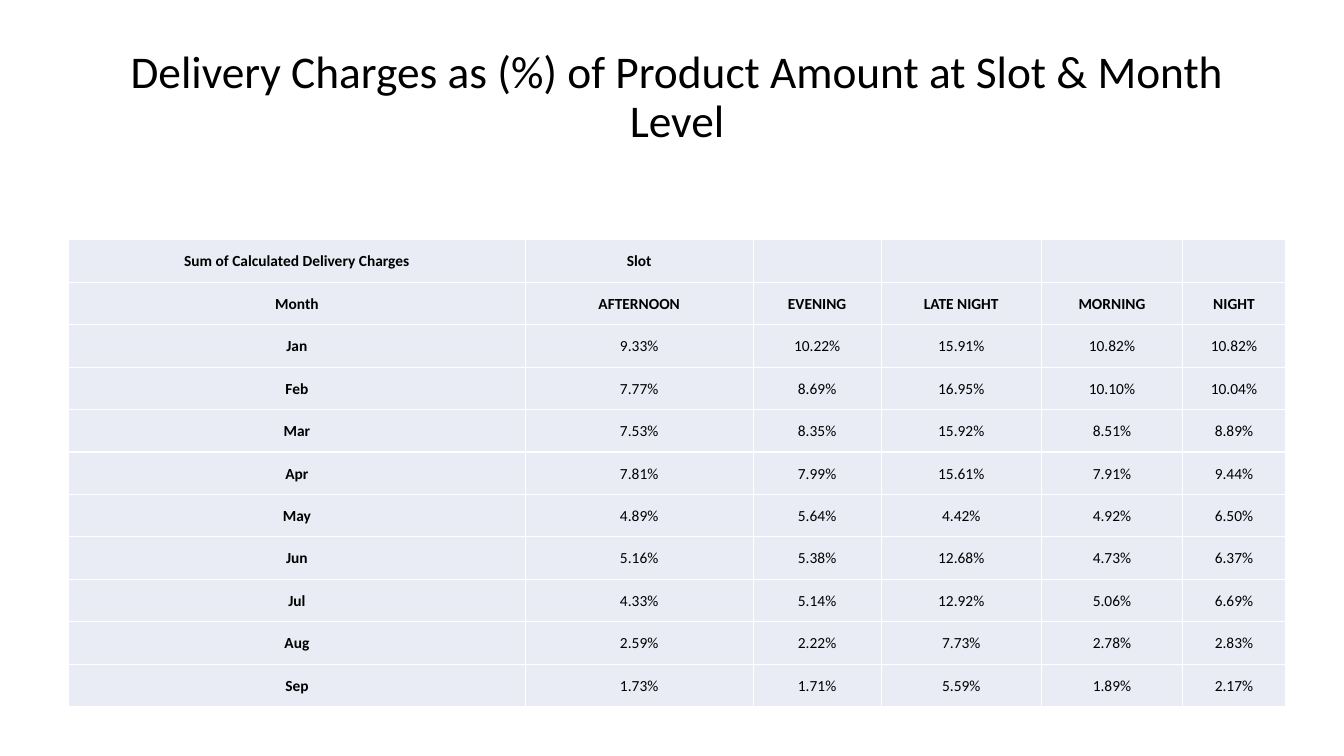
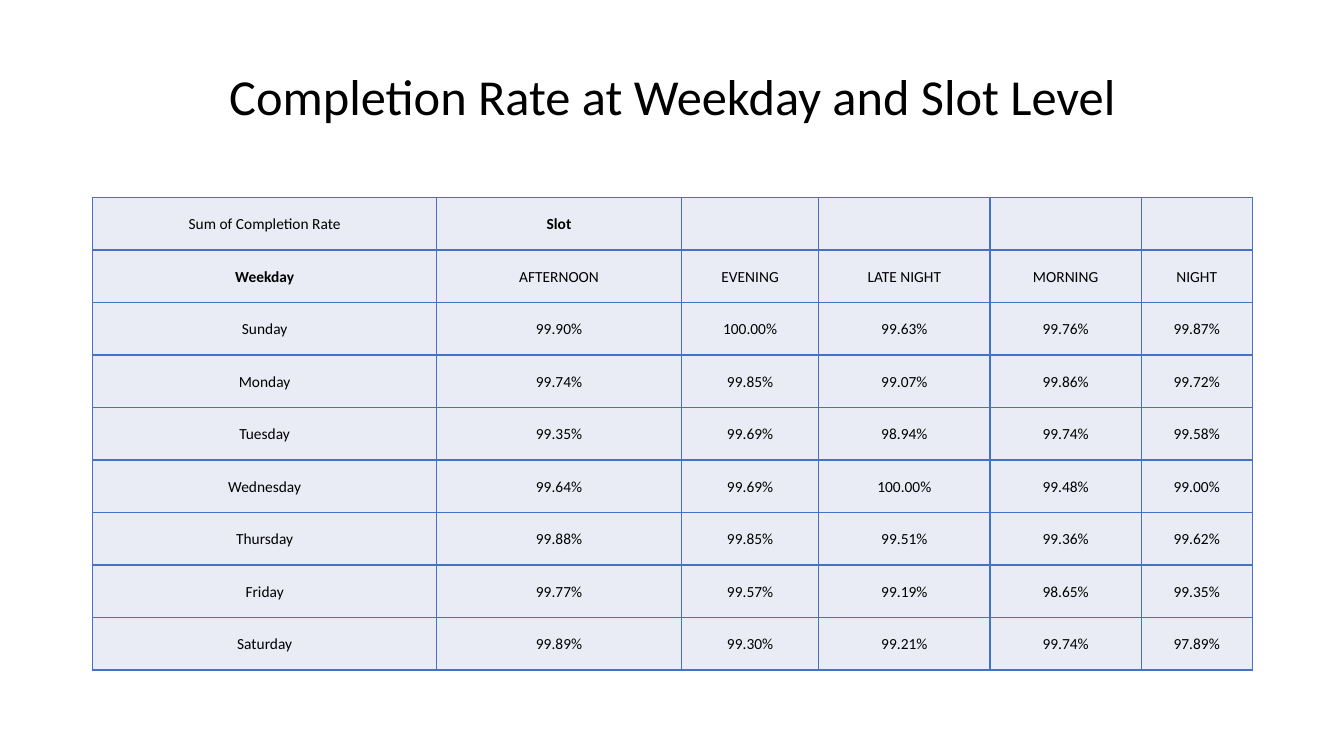
"""Build two slides of delivery figures by time slot."""
from dataclasses import dataclass

from lxml.etree import SubElement
from pptx import Presentation
from pptx.dml.color import RGBColor
from pptx.enum.text import MSO_ANCHOR, MSO_AUTO_SIZE, PP_ALIGN
from pptx.oxml.ns import qn
from pptx.util import Emu, Pt


@dataclass(frozen=True)
class Theme:
    font: str = "Calibri"
    ink: str = "000000"
    paper: str = "FFFFFF"
    cell: str = "E9EBF5"
    accent: str = "4472C4"
    long_title: float = 32.4
    title: float = 36
    body: float = 11
    border: float = 1


THEME = Theme()
SLOTS = ["AFTERNOON", "EVENING", "LATE NIGHT", "MORNING", "NIGHT"]
CHARGES = [
    ["Sum of Calculated Delivery Charges", "Slot"],
    ["Month", *SLOTS],
    ["Jan", "9.33%", "10.22%", "15.91%", "10.82%", "10.82%"],
    ["Feb", "7.77%", "8.69%", "16.95%", "10.10%", "10.04%"],
    ["Mar", "7.53%", "8.35%", "15.92%", "8.51%", "8.89%"],
    ["Apr", "7.81%", "7.99%", "15.61%", "7.91%", "9.44%"],
    ["May", "4.89%", "5.64%", "4.42%", "4.92%", "6.50%"],
    ["Jun", "5.16%", "5.38%", "12.68%", "4.73%", "6.37%"],
    ["Jul", "4.33%", "5.14%", "12.92%", "5.06%", "6.69%"],
    ["Aug", "2.59%", "2.22%", "7.73%", "2.78%", "2.83%"],
    ["Sep", "1.73%", "1.71%", "5.59%", "1.89%", "2.17%"],
]
COMPLETION = [
    ["Sum of Completion Rate", "Slot"],
    ["Weekday", *SLOTS],
    ["Sunday", "99.90%", "100.00%", "99.63%", "99.76%", "99.87%"],
    ["Monday", "99.74%", "99.85%", "99.07%", "99.86%", "99.72%"],
    ["Tuesday", "99.35%", "99.69%", "98.94%", "99.74%", "99.58%"],
    ["Wednesday", "99.64%", "99.69%", "100.00%", "99.48%", "99.00%"],
    ["Thursday", "99.88%", "99.85%", "99.51%", "99.36%", "99.62%"],
    ["Friday", "99.77%", "99.57%", "99.19%", "98.65%", "99.35%"],
    ["Saturday", "99.89%", "99.30%", "99.21%", "99.74%", "97.89%"],
]


def px(length):
    return Emu(length * 9144)


class Deck:
    def __init__(self, theme):
        self.theme = theme
        self.presentation = Presentation()
        self.presentation.slide_width = px(1333)
        self.presentation.slide_height = px(750)
        self.slide = None

    def add_slide(self):
        layout = self.presentation.slide_layouts[5]
        self.slide = self.presentation.slides.add_slide(layout)
        background = self.slide.background.fill
        background.solid()
        background.fore_color.rgb = RGBColor.from_string(self.theme.paper)

    def set_text(self, frame, text, size, bold=False):
        frame.text = text
        paragraph = frame.paragraphs[0]
        paragraph.alignment = PP_ALIGN.CENTER
        for run in paragraph.runs:
            run.font.name = self.theme.font
            run.font.size = Pt(size)
            run.font.bold = bold
            run.font.color.rgb = RGBColor.from_string(self.theme.ink)

    def title(self, text, left, top, width, height, size):
        heading = self.slide.shapes.title
        heading.left, heading.top = px(left), px(top)
        heading.width, heading.height = px(width), px(height)
        frame = heading.text_frame
        self.set_text(frame, text, size)
        frame.auto_size = MSO_AUTO_SIZE.NONE
        frame.vertical_anchor = MSO_ANCHOR.MIDDLE
        frame.paragraphs[0].line_spacing = 0.9

    def border(self, cell, color):
        properties = cell._tc.get_or_add_tcPr()
        for side in ("a:lnL", "a:lnR", "a:lnT", "a:lnB"):
            line = SubElement(properties, qn(side), w=str(Pt(self.theme.border)))
            SubElement(SubElement(line, qn("a:solidFill")), qn("a:srgbClr"), val=color)

    def table(self, rows, left, top, height, widths, border, is_bold):
        table = self.slide.shapes.add_table(
            len(rows), len(widths), px(left), px(top), px(sum(widths)), px(height)
        ).table
        table.first_row = table.horz_banding = False
        for column, width in zip(table.columns, widths):
            column.width = px(width)
        for row_index, values in enumerate(rows):
            for column_index in range(len(widths)):
                cell = table.cell(row_index, column_index)
                self.border(cell, border)
                cell.fill.solid()
                cell.fill.fore_color.rgb = RGBColor.from_string(self.theme.cell)
                cell.vertical_anchor = MSO_ANCHOR.MIDDLE
                cell.margin_left = cell.margin_right = cell.margin_top = px(1)
                cell.margin_bottom = px(0)
                if column_index < len(values):
                    self.set_text(cell.text_frame, values[column_index], self.theme.body,
                                  is_bold(row_index, column_index))


def main():
    deck = Deck(THEME)

    deck.add_slide()
    deck.title("Delivery Charges as (%) of Product Amount at Slot & Month Level",
               68, 49, 1207, 98, THEME.long_title)
    deck.table(CHARGES, 68, 238, 463, [453, 226, 127, 159, 140, 102], THEME.paper,
               lambda row, column: row < 2 or column == 0)

    deck.add_slide()
    deck.title("Completion Rate at Weekday and Slot Level",
               92, 40, 1150, 116, THEME.title)
    deck.table(COMPLETION, 92, 196, 469, [341, 243, 136, 170, 150, 110], THEME.accent,
               lambda row, column: row + column == 1)

    deck.presentation.save("out.pptx")


if __name__ == "__main__":
    main()
